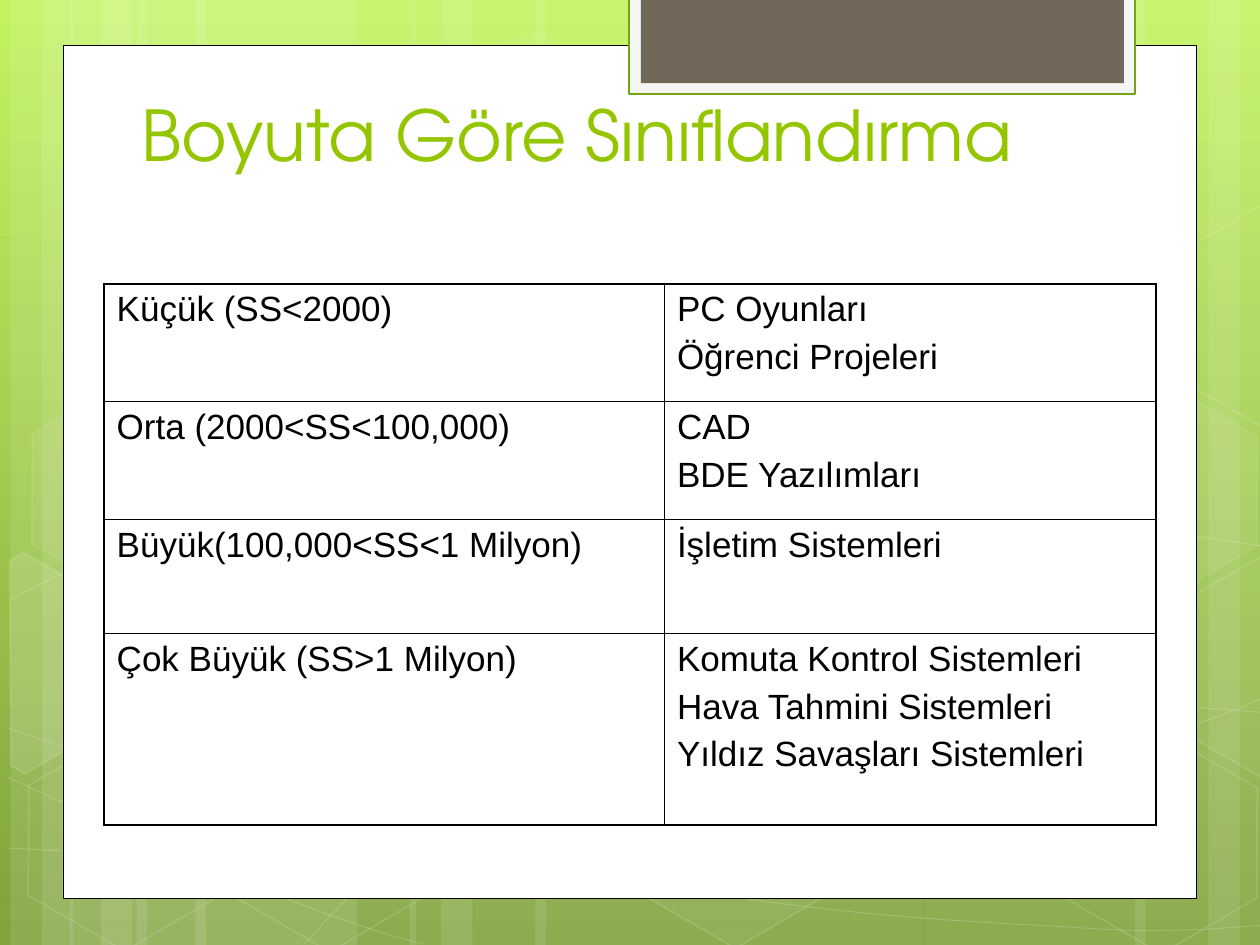
from math import cos, radians, sin

from lxml import etree
from pptx import Presentation
from pptx.dml.color import RGBColor
from pptx.enum import shapes as kinds, text as txt
from pptx.oxml.ns import qn
from pptx.util import Pt

THEME = dict(
    white="FFFFFF", black="000000", lime="94C600", edge="74A510",
    tab="F5F5F5", brown="71685A", sky="C2F35F", grass="80A33D",
    head="TeX Gyre Adventor", body="Arial", big=40, small=20,
)


def paint(shape, fill=None, line=None, width=1, clear=100, faint=100):
    """Set fill and line; clear and faint are their opacities in percent."""
    shape.shadow.inherit = False
    if fill:
        shape.fill.solid()
        shape.fill.fore_color.rgb = RGBColor.from_string(fill)
    else:
        shape.fill.background()
    if line:
        shape.line.width = Pt(width)
        shape.line.color.rgb = RGBColor.from_string(line)
    else:
        shape.line.fill.background()
    for where, share in (("a:solidFill", clear), ("a:ln/a:solidFill", faint)):
        if share < 100:
            for color in shape._element.spPr.xpath(where + "/a:srgbClr"):
                etree.SubElement(color, qn("a:alpha")).set("val", str(share * 1000))


def write(frame, lines, size, font, color, align=txt.PP_ALIGN.LEFT, gap=0):
    frame.word_wrap = True
    for i, line in enumerate(lines):
        para = frame.paragraphs[0] if i == 0 else frame.add_paragraph()
        para.text = line
        para.alignment = align
        para.space_before = Pt(gap if i else 0)
        para.font.size = Pt(size)
        para.font.name = font
        para.font.color.rgb = RGBColor.from_string(color)


deck = Presentation()
deck.slide_width, deck.slide_height = Pt(720), Pt(540)
slide = deck.slides.add_slide(deck.slide_layouts[6])
draw = slide.shapes
white, black = THEME["white"], THEME["black"]

# Background gradient, from top to bottom
back = slide.background.fill
back.gradient()
back.gradient_angle = 270
for stop, name in zip(back.gradient_stops, ("sky", "grass")):
    stop.color.rgb = RGBColor.from_string(THEME[name])

# Groups of three pale bands, the right one mirrored
for start, way, wide in ((6, 1, 126), (39.6, 1, 126), (726.5, -1, 126), (234, 1, 222)):
    for shift, width in ((72, wide), (0, 36), (18, 60)):
        left = start + way * shift - (width if way < 0 else 0)
        band = draw.add_shape(kinds.MSO_SHAPE.RECTANGLE, Pt(left), 0, Pt(width), Pt(540))
        paint(band, white, clear=10)

# Thin waves: a start point, then three points for each Bezier curve
waves = [
    [(5, 484.6), (43.9, 486.7), (82.8, 488.9), (136.8, 488.2),
     (190.8, 487.4), (257.8, 486), (329.8, 478.8), (401.8, 471.6),
     (504, 457.9), (570.2, 444.2), (635.8, 430.6), (703.4, 409), (725, 396.7)],
    [(5, 343.4), (25.9, 331.9), (46.8, 321.1), (87.1, 310.3),
     (128.2, 299.5), (186.5, 283.7), (249.8, 278.6), (313.9, 273.6),
     (391.7, 272.9), (470.9, 278.6), (550.1, 284.4), (681.8, 306.7), (725, 312.5)],
    [(4.3, 444.2), (91.4, 483.8), (177.8, 523.4), (241.2, 539.3)],
    [(5, 416.2), (27.4, 424.1), (50.4, 432), (92.2, 443.5),
     (133.9, 454.3), (196.6, 472.3), (257, 484.6), (316.8, 496.8),
     (392.4, 509.8), (452.2, 517), (511.9, 524.9), (576, 527.8), (614.2, 529.9),
     (652.3, 532.8), (661.7, 531.4), (680.4, 531.4), (699.1, 530.6),
     (712.1, 529.2), (725, 528.5)],
    [(174.2, 539.3), (187.2, 524.9), (200.2, 510.5), (217.4, 497.5),
     (234.7, 483.8), (259.2, 470.2), (279.4, 460.1), (299.5, 450),
     (311.8, 445.7), (337.7, 438.5), (364.3, 431.3), (412.6, 421.2),
     (437.8, 416.2), (463.7, 411.1), (467.3, 411.1), (489.6, 409.7),
     (511.9, 407.5), (547.2, 405.4), (571.7, 404.6), (596.9, 403.9),
     (637.9, 404.6), (637.9, 404.6), (654, 404.6), (670, 404.6), (686.2, 404.6),
     (699.1, 405.4), (711.4, 406.1), (717.8, 406.8), (724.3, 407.5),
     (722.2, 406.8), (724.3, 407.5)],
]
for knots in waves:
    spots = [(Pt(x), Pt(y)) for x, y in knots]
    pen = draw.build_freeform(*spots[0])
    pen.add_line_segments(spots[1:], close=False)
    wave = pen.convert_to_shape()
    paint(wave, line=white, width=0.5, faint=20)
    legs = wave._element.spPr.xpath(".//a:lnTo")
    for i in range(0, len(legs), 3):
        curve = etree.Element(qn("a:cubicBezTo"))
        legs[i].addprevious(curve)
        for leg in legs[i:i + 3]:
            curve.append(leg[0])
            leg.getparent().remove(leg)

# Whole hexagons: left, top, fill opacity, line opacity
for left, top, clear, faint in (
    (240.5, 26, 4, 8), (357, 424, 6, 12), (8, 425.5, 0, 12), (10, 224.6, 7, 8),
    (125.3, 426, 0, 12), (542, 326, 10, 12), (600.5, 427, 0, 12), (600.5, 226, 7, 8),
):
    hexa = draw.add_shape(kinds.MSO_SHAPE.HEXAGON, Pt(left), Pt(top), Pt(126), Pt(109.4))
    hexa.adjustments[0] = 0.285
    hexa.rotation = 30
    paint(hexa, white if clear else None, white, clear=clear, faint=faint)

# Hexagons cut off by the slide edges: corners as seen, turned back about the
# middle so that the shape's own rotation restores them
west = [(5.8, 320.4), (13.7, 315.4), (69, 347.8), (68.4, 410.4), (14.4, 442), (6.5, 437)]
east = [(666.7, 349.2), (721.4, 317.5), (726.5, 321), (726.5, 441.4), (721.4, 444.2),
        (666.7, 412.6)]
co, si = cos(radians(30)), sin(radians(30))
for knots, midx, midy, rise, clear in (
    (west, 26, 386, 0, 10), (east, 709.2, 374.4, 0, 4), (east, 709.2, 374.4, 200.6, 0),
):
    spots = [(Pt(midx + (x - midx) * co + (y - midy) * si),
              Pt(midy - rise - (x - midx) * si + (y - midy) * co)) for x, y in knots]
    pen = draw.build_freeform(*spots[0])
    pen.add_line_segments(spots[1:], close=True)
    part = pen.convert_to_shape()
    part.rotation = 30
    paint(part, white if clear else None, white, clear=clear, faint=12)

# White sheet and the tab hanging over its top edge
for box, fill, line, width in (
    ((36, 26, 648, 487.5), white, black, 0.5),
    ((359.3, -1.5, 289.4, 55.2), THEME["tab"], THEME["edge"], 1.25),
    ((366.2, -1.5, 276, 49), THEME["brown"], None, 0),
):
    panel = draw.add_shape(kinds.MSO_SHAPE.RECTANGLE, *map(Pt, box))
    paint(panel, fill, line, width)

title = draw.add_textbox(Pt(14), Pt(31.7), Pt(631.4), Pt(72)).text_frame
title.vertical_anchor = txt.MSO_ANCHOR.BOTTOM
write(title, ["Boyuta Göre Sınıflandırma"], THEME["big"], THEME["head"],
      THEME["lime"], align=txt.PP_ALIGN.CENTER)

# Size classes and their examples
rows = [
    (67.3, "Küçük (SS<2000)", ["PC Oyunları", "Öğrenci Projeleri"]),
    (67.3, "Orta (2000<SS<100,000)", ["CAD", "BDE Yazılımları"]),
    (65.2, "Büyük(100,000<SS<1 Milyon)", ["İşletim Sistemleri"]),
    (109.6, "Çok Büyük (SS>1 Milyon)", ["Komuta Kontrol Sistemleri",
                                        "Hava Tahmini Sistemleri",
                                        "Yıldız Savaşları Sistemleri"]),
]
widths = (320.2, 280.8)
grid = draw.add_table(len(rows), 2, Pt(59.5), Pt(162.1), Pt(sum(widths)),
                      Pt(sum(row[0] for row in rows))).table
grid.first_row = grid.horz_banding = False
for col, width in zip(grid.columns, widths):
    col.width = Pt(width)
for r, (height, size, cases) in enumerate(rows):
    grid.rows[r].height = Pt(height)
    for c, lines in enumerate(([size], cases)):
        cell = grid.cell(r, c)
        write(cell.text_frame, lines, THEME["small"], THEME["body"], black, gap=5)
        props = cell._tc.get_or_add_tcPr()
        outer = dict(L=c == 0, R=c == 1, T=r == 0, B=r == len(rows) - 1)
        for side, thick in outer.items():
            rule = etree.SubElement(props, qn("a:ln" + side))
            rule.set("w", str(Pt(1.08 if thick else 0.45)))
            solid = etree.SubElement(rule, qn("a:solidFill"))
            etree.SubElement(solid, qn("a:srgbClr")).set("val", black)
        cell.fill.background()

deck.save("out.pptx")
